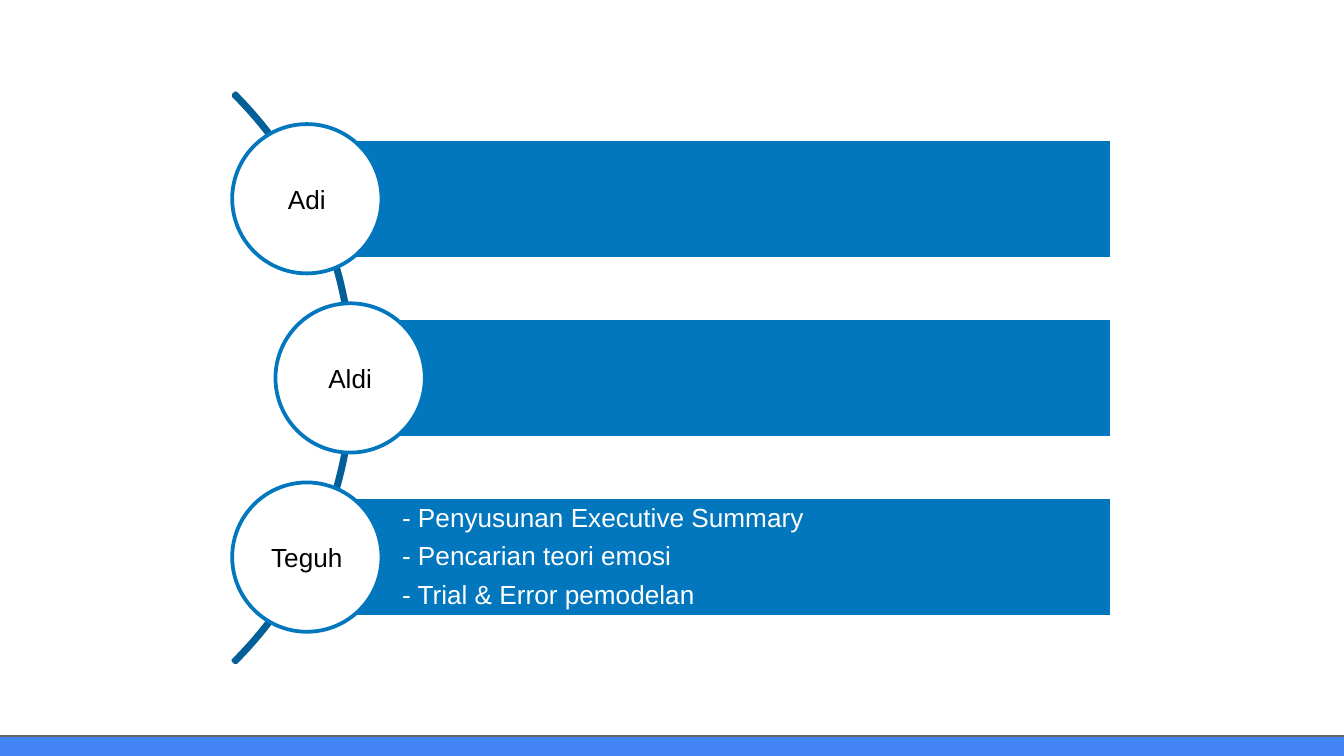
from dataclasses import dataclass

from pptx import Presentation
from pptx.dml.color import RGBColor
from pptx.enum.shapes import MSO_SHAPE as Preset
from pptx.enum.text import MSO_ANCHOR as Anchor, PP_ALIGN as Align
from pptx.util import Pt


@dataclass(frozen=True)
class Theme:
    font: str = "Arial"
    text_size: float = 14
    outline: float = 2
    thin: float = 0.75
    white: str = "FFFFFF"
    black: str = "000000"
    blue: str = "0277BD"
    dark_blue: str = "025F97"
    footer: str = "4284F3"
    grey: str = "666666"


class TeamSlide:
    def __init__(self, slide, theme):
        self.slide = slide
        self.theme = theme

    def shape(self, preset, box, fill, line, weight):
        shape = self.slide.shapes.add_shape(preset, *(Pt(v) for v in box))
        shape.shadow.inherit = False
        if fill:
            shape.fill.solid()
            shape.fill.fore_color.rgb = RGBColor.from_string(fill)
        else:
            shape.fill.background()
        shape.line.color.rgb = RGBColor.from_string(line)
        shape.line.width = Pt(weight)
        return shape

    def label(self, shape, text, color, align, insets, wrap):
        frame = shape.text_frame
        frame.text = text
        frame.word_wrap = wrap
        frame.vertical_anchor = Anchor.MIDDLE
        frame.margin_left, frame.margin_top, frame.margin_right, frame.margin_bottom = (
            Pt(inset) for inset in insets
        )
        for paragraph in frame.paragraphs:
            paragraph.alignment = align
            for run in paragraph.runs:
                run.font.name = self.theme.font
                run.font.size = Pt(self.theme.text_size)
                run.font.color.rgb = RGBColor.from_string(color)
        return frame

    def footer(self, box):
        self.shape(Preset.RECTANGLE, box, self.theme.footer, self.theme.grey, self.theme.thin)

    def arc(self, center_x, center_y, radius):
        box = (center_x - radius, center_y - radius, 2 * radius, 2 * radius)
        arc = self.shape(Preset.BLOCK_ARC, box, None, self.theme.dark_blue, self.theme.outline)
        for index, value in enumerate((189, 27, 0.004)):
            arc.adjustments[index] = value

    def task_bar(self, left, right, center_y, height, tasks):
        box = (left, center_y - height / 2, right - left, height)
        bar = self.shape(Preset.RECTANGLE, box, self.theme.blue, self.theme.white, self.theme.outline)
        if tasks:
            frame = self.label(bar, "\n".join(tasks), self.theme.white, Align.LEFT, (51, 3, 3, 3), True)
            for paragraph in frame.paragraphs:
                paragraph.line_spacing = 0.9
                paragraph.space_after = Pt(5.5)

    def member(self, center_x, center_y, diameter, name):
        box = (center_x - diameter / 2, center_y - diameter / 2, diameter, diameter)
        circle = self.shape(Preset.OVAL, box, self.theme.white, self.theme.blue, self.theme.outline)
        self.label(circle, name, self.theme.black, Align.CENTER, (0, 0, 0, 0), False)


def main():
    deck = Presentation()
    deck.slide_width, deck.slide_height = Pt(720), Pt(405)
    team = TeamSlide(deck.slides.add_slide(deck.slide_layouts[6]), Theme())

    middle_y, pitch = 202.5, 96
    members = [
        ("Adi", 164.4, []),
        ("Aldi", 187.6, []),
        ("Teguh", 164.4, [
            "- Penyusunan Executive Summary",
            "- Pencarian teori emosi",
            "- Trial & Error pemodelan",
        ]),
    ]

    team.footer((-3, 394.4, 733, 21.6))
    team.arc(-26.3, middle_y, 215.7)
    for row, (name, center_x, tasks) in enumerate(members):
        center_y = middle_y + (row - 1) * pitch
        team.task_bar(center_x, 595.6, center_y, 64, tasks)
        team.member(center_x, center_y, 80, name)

    deck.save("out.pptx")


if __name__ == "__main__":
    main()
